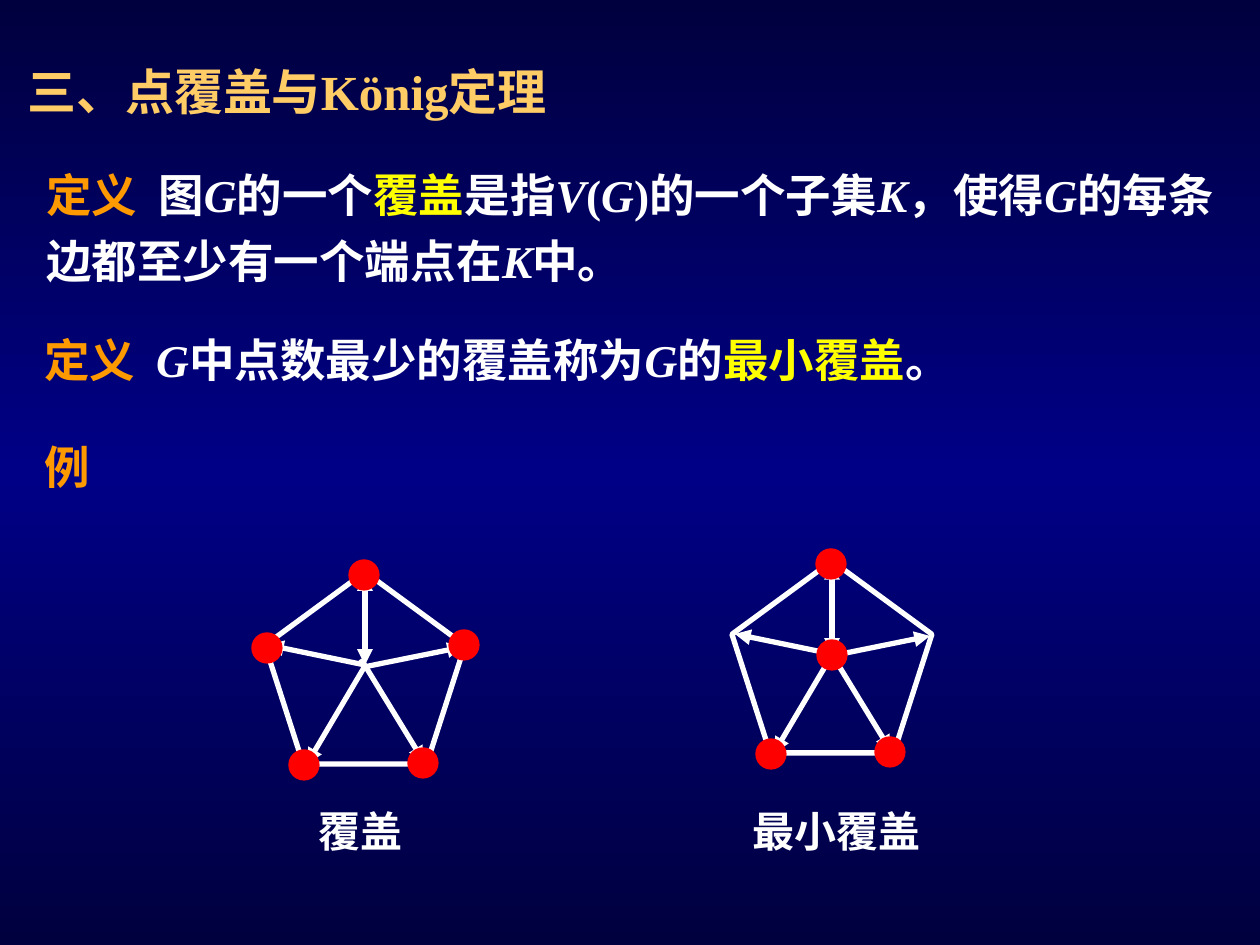
from copy import deepcopy
from dataclasses import dataclass

from pptx import Presentation
from pptx.dml.color import RGBColor as Rgb
from pptx.enum.shapes import MSO_CONNECTOR as Link, MSO_SHAPE as Shape
from pptx.enum.text import MSO_AUTO_SIZE as Fit, PP_ALIGN as Align
from pptx.oxml.ns import qn
from pptx.oxml.xmlchemy import OxmlElement as Node
from pptx.util import Emu, Pt


@dataclass(frozen=True)
class Theme:
    font: str = "Times New Roman"
    edge: str = "00003E"
    mid: str = "000086"
    gold: str = "FFCC66"
    term: str = "FF9900"
    key: str = "FFFF00"
    white: str = "FFFFFF"
    red: str = "FF0000"
    title: int = 28
    body: int = 26
    label: int = 24
    line: int = 3


T = Theme()
SCALE = 914400 / 126
DOT = 26
SPOKES = [
    ((100, 3), (100, 93)),
    ((3, 73), (100, 93)),
    ((42, 192), (100, 94)),
    ((159, 190), (96, 87)),
    ((198, 75), (99, 95)),
]
NODES = {
    "top": (86, -10),
    "right": (186, 60),
    "low right": (145, 178),
    "low left": (26, 180),
    "left": (-11, 63),
    "hub": (87, 81),
}


def px(*vals):
    return [Emu(round(v * SCALE)) for v in vals]


def apply(obj, form):
    for name, val in form.items():
        setattr(obj, name, val)


def paint(slide):
    fill = slide.background.fill
    fill.gradient()
    fill.gradient_angle = 90
    stops = next(slide._element.iter(qn("a:gsLst")))
    stops.append(deepcopy(stops[-1]))
    for stop, tone, pos in zip(fill.gradient_stops, (T.edge, T.mid, T.edge), (0, 0.5, 1)):
        stop.color.rgb = Rgb.from_string(tone)
        stop.position = pos


def write(shapes, box, size, runs, fit=Fit.SHAPE_TO_FIT_TEXT, **form):
    frame = shapes.add_textbox(*px(*box)).text_frame
    apply(frame, {"word_wrap": True, "auto_size": fit})
    para = frame.paragraphs[0]
    apply(para, form)
    for text, tone, slant in runs:
        run = para.add_run()
        run.text = text
        apply(run.font, {"name": T.font, "size": Pt(size), "bold": True, "italic": slant})
        run.font.color.rgb = Rgb.from_string(tone)


def plain(text, tone=T.white):
    return text, tone, False


def var(text):
    return text, T.white, True


def stroke(line, tone):
    line.color.rgb = Rgb.from_string(tone)
    line.width = Pt(T.line)


def draw(shapes, kind, box, tone, solid):
    item = shapes.add_shape(kind, *px(*box))
    item.shadow.inherit = False
    if solid:
        item.fill.solid()
        item.fill.fore_color.rgb = Rgb.from_string(tone)
    else:
        item.fill.background()
    stroke(item.line, tone)


def spoke(shapes, start, end, ends):
    item = shapes.add_connector(Link.STRAIGHT, *px(*start, *end))
    stroke(item.line, T.white)
    for tag in ends:
        tip = Node(tag)
        tip.set("type", "triangle")
        item.line._get_or_add_ln().append(tip)
    item._element.spPr.append(Node("a:effectLst"))


def graph(slide, left, top, cover, label, box):
    def at(spot):
        return left + spot[0], top + spot[1]

    shapes = slide.shapes.add_group_shape().shapes
    draw(shapes, Shape.REGULAR_PENTAGON, (left, top, 200, 192), T.white, False)
    for num, (start, end) in enumerate(SPOKES):
        ends = ["a:headEnd"] if num else ["a:headEnd", "a:tailEnd"]
        spoke(shapes, at(start), at(end), ends)
    write(shapes, box, T.label, [plain(label)], Fit.NONE, alignment=Align.JUSTIFY)
    for name in cover:
        draw(shapes, Shape.OVAL, (*at(NODES[name]), DOT, DOT), T.red, True)


def main():
    deck = Presentation()
    deck.slide_width, deck.slide_height = px(1260, 945)
    slide = deck.slides.add_slide(deck.slide_layouts[6])
    paint(slide)
    shapes = slide.shapes
    write(shapes, (15, 55, 1040, 72), T.title,
          [plain("三、点覆盖与König定理", T.gold)], space_before=Pt(17.5))
    write(shapes, (34, 150, 1201, 144), T.body, [
        plain("定义 ", T.term), plain(" 图"), var("G"), plain("的一个"),
        plain("覆盖", T.key), plain("是指"), var("V"), plain("("), var("G"),
        plain(")的一个子集"), var("K"), plain("，使得"), var("G"),
        plain("的每条边都至少有一个端点在"), var("K"), plain("中。"),
    ], line_spacing=1.2)
    write(shapes, (32, 326, 1085, 68), T.body, [
        plain("定义  ", T.term), var("G"), plain("中点数最少的覆盖称为"), var("G"),
        plain("的"), plain("最小覆盖", T.key), plain("。"),
    ])
    write(shapes, (32, 433, 92, 68), T.body, [plain("例", T.term)])
    graph(slide, 265, 572, ["top", "right", "low right", "low left", "left"],
          "覆盖", (306, 799, 116, 71))
    graph(slide, 732, 561, ["hub", "top", "low right", "low left"],
          "最小覆盖", (740, 799, 198, 71))
    deck.save("out.pptx")


if __name__ == "__main__":
    main()
